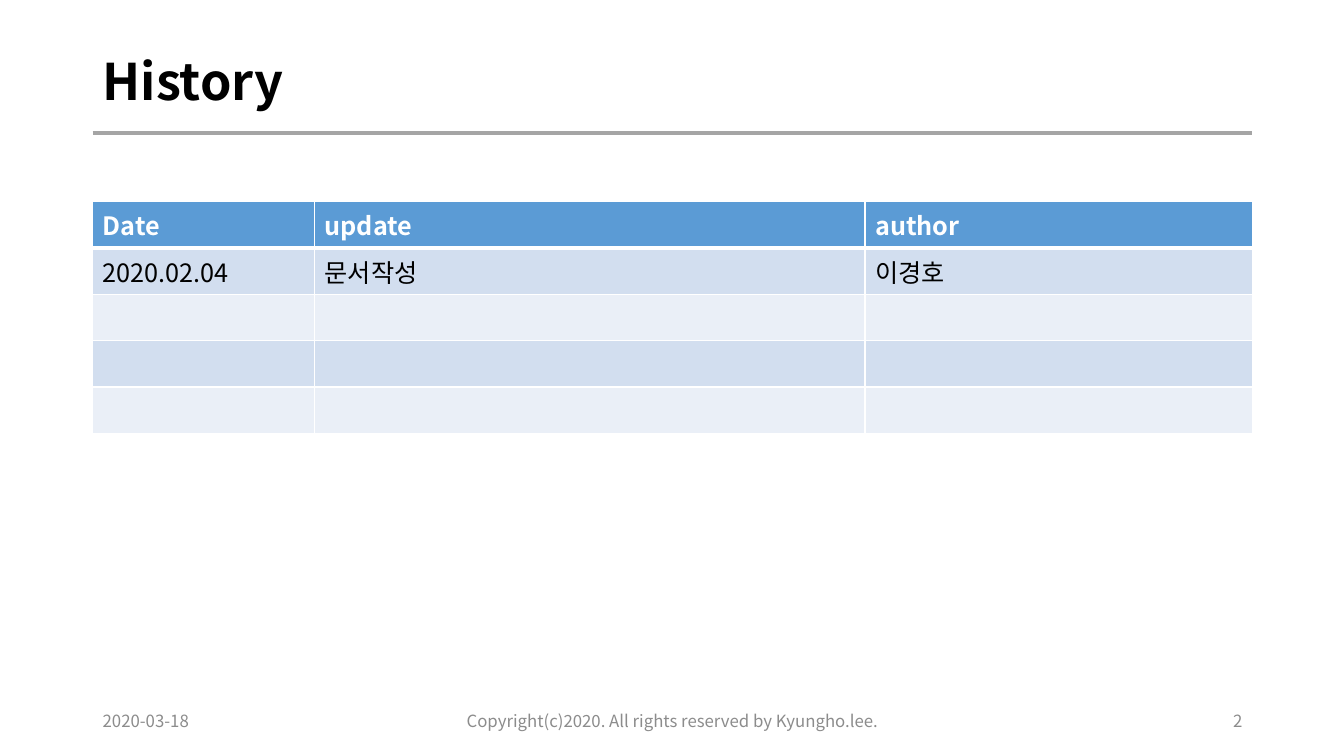
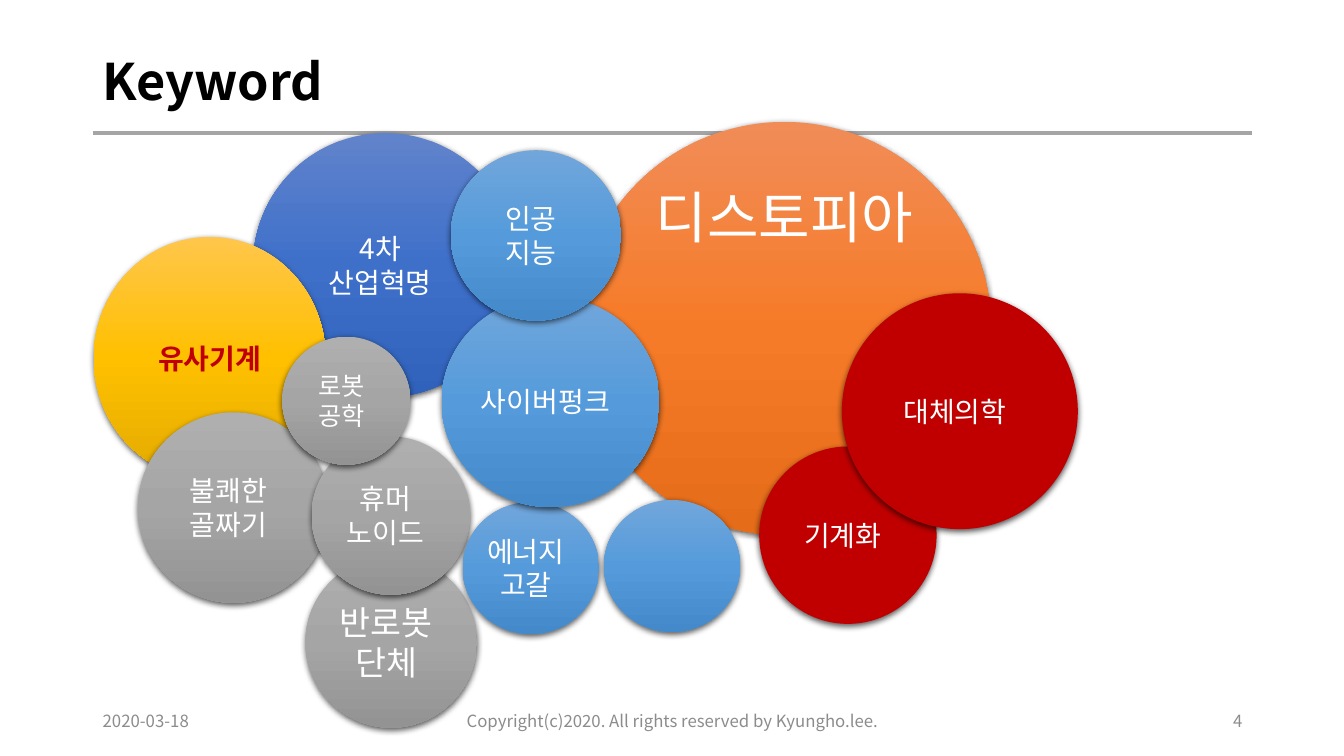
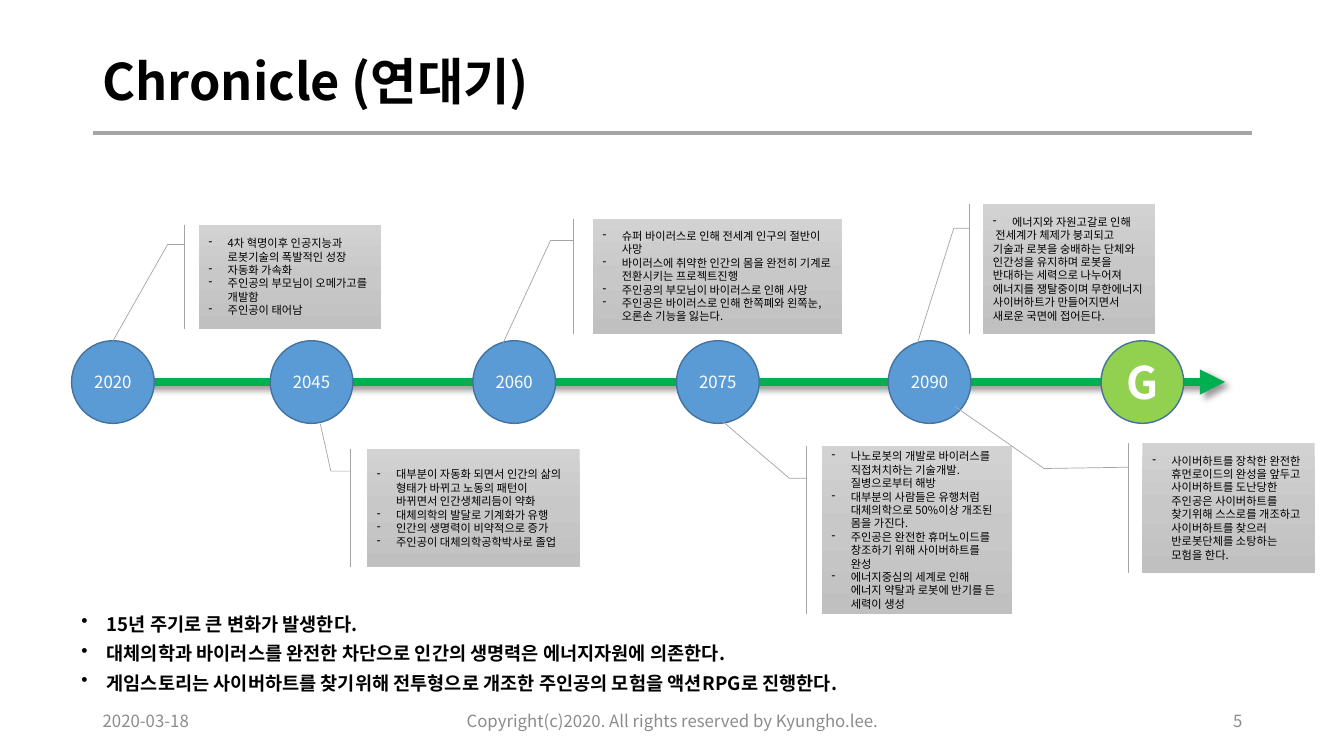
from dataclasses import dataclass
from lxml.etree import SubElement
from pptx import Presentation
from pptx.dml.color import RGBColor
from pptx.enum.shapes import MSO_CONNECTOR, MSO_SHAPE
from pptx.enum.text import MSO_ANCHOR, PP_ALIGN
from pptx.oxml.ns import qn
from pptx.util import Inches, Pt


@dataclass(frozen=True)
class Theme:
    font: str = "Noto Sans CJK KR"
    black: str = "000000"
    white: str = "FFFFFF"
    rule: str = "A5A5A5"
    footer: str = "8C8C8C"
    accent: str = "5B9BD5"
    outline: str = "43739E"
    green: str = "00B050"
    lime: str = "92D050"
    red: str = "C00000"
    bands: tuple = ("D2DEEF", "EAEFF7")
    orange: tuple = ("F18C57", "F67B28", "E56C19")
    blue: tuple = ("6183CB", "3E70CA", "3062BB")
    gold: tuple = ("FFC64B", "FFC000", "E3AB00")
    gray: tuple = ("AFAFAF", "A5A5A5", "939393")
    sky: tuple = ("71A6DB", "559BDB", "448ACA")
    silver: tuple = ("D2D2D2", "C8C8C8", "C0C0C0")
    title: float = 36
    table: float = 18
    keyword: float = 20
    summary: float = 13.3
    small: float = 12
    note: float = 8


T = Theme()
LEFT, WIDTH = 0.92, 11.5
COPYRIGHT = "Copyright(c)2020. All rights reserved by Kyungho.lee."


def rgb(value):
    return RGBColor.from_string(value)


def box(*lengths):
    return [Inches(n) for n in lengths]


def write(tf, lines, size=T.small, color=T.black, bold=False, align=PP_ALIGN.LEFT,
          anchor=MSO_ANCHOR.MIDDLE, margins=(0.1, 0.05, 0.1, 0.05), bullet=None,
          indent=0, spacing=None, before=None):
    tf.word_wrap = True
    tf.vertical_anchor = anchor
    tf.margin_left, tf.margin_top, tf.margin_right, tf.margin_bottom = box(*margins)
    for i, line in enumerate(lines):
        p = tf.add_paragraph() if i else tf.paragraphs[0]
        p.alignment = align
        if spacing:
            p.line_spacing = spacing
        if before:
            p.space_before = Pt(before)
        if bullet and not line.startswith(" "):
            pPr = p._p.get_or_add_pPr()
            pPr.set("marL", str(Inches(indent)))
            pPr.set("indent", str(-Inches(indent)))
            SubElement(pPr, qn("a:buChar"), char=bullet)
        r = p.add_run()
        r.text = line
        r.font.size, r.font.bold, r.font.name = Pt(size), bold, T.font
        r.font.color.rgb = rgb(color)
        SubElement(r._r.get_or_add_rPr(), qn("a:ea"), typeface=T.font)


def add_text(s, at, lines, **fmt):
    write(s.shapes.add_textbox(*box(*at)).text_frame, lines, **fmt)


def set_fill(fill, colors):
    if isinstance(colors, str):
        fill.solid()
        fill.fore_color.rgb = rgb(colors)
        return
    fill.gradient()
    fill.gradient_angle = 270
    stops = fill._xPr.find(qn("a:gradFill")).find(qn("a:gsLst"))
    for stop in list(stops):
        stops.remove(stop)
    for i, color in enumerate(colors):
        stop = SubElement(stops, qn("a:gs"), pos=str(i * 50000))
        SubElement(stop, qn("a:srgbClr"), val=color)


def add_shadow(effects, alpha, blur, dist, angle):
    shadow = SubElement(effects, qn("a:outerShdw"), blurRad=str(Pt(blur)), dist=str(Pt(dist)),
                        dir=str(angle * 60000), algn="ctr", rotWithShape="0")
    color = SubElement(shadow, qn("a:srgbClr"), val=T.black)
    SubElement(color, qn("a:alpha"), val=str(alpha * 1000))


def add_shape(s, kind, at, fill, line=None, width=1):
    sp = s.shapes.add_shape(kind, *box(*at))
    sp.shadow.inherit = False
    set_fill(sp.fill, fill)
    if line:
        sp.line.color.rgb, sp.line.width = rgb(line), Pt(width)
    else:
        sp.line.fill.background()
    return sp


def add_line(s, x1, x2, y, color, width):
    line = s.shapes.add_connector(MSO_CONNECTOR.STRAIGHT, *box(x1, y, x2, y))
    line.line.color.rgb, line.line.width = rgb(color), Pt(width)
    return line, SubElement(line._element.spPr, qn("a:effectLst"))


def add_bubble(s, at, fill, lines=(), size=T.keyword, color=T.white, bold=False,
               anchor=MSO_ANCHOR.MIDDLE, margins=(0, 0, 0.1, 0)):
    sp = add_shape(s, MSO_SHAPE.OVAL, at, fill)
    add_shadow(sp._element.spPr.find(qn("a:effectLst")), 63, 4.5, 1.5, 90)
    write(sp.text_frame, lines, size=size, color=color, bold=bold,
          align=PP_ALIGN.CENTER, anchor=anchor, margins=margins)


def add_milestone(s, x, label, fill=T.accent, size=T.small, bold=False):
    sp = add_shape(s, MSO_SHAPE.OVAL, (x, 3.38, 0.82, 0.82), fill, T.outline)
    write(sp.text_frame, [label], size=size, color=T.white, bold=bold,
          align=PP_ALIGN.CENTER, margins=(0, 0, 0, 0))


def add_callout(s, at, tip, lines, elbow=(0.19, -0.17)):
    sp = add_shape(s, MSO_SHAPE.LINE_CALLOUT_2_ACCENT_BAR, at, T.silver, T.rule, 0.5)
    for i, value in enumerate((0.19, -0.08, *elbow, *tip)):
        sp.adjustments[i] = value
    write(sp.text_frame, lines, size=T.note, bullet="-", indent=0.19)


def add_table(s, at, widths, rows):
    table = s.shapes.add_table(len(rows), len(widths), *box(*at)).table
    for column, width in zip(table.columns, widths):
        column.width = Inches(width)
    for i, row in enumerate(rows):
        for j, value in enumerate(row):
            cell = table.cell(i, j)
            tcPr = cell._tc.get_or_add_tcPr()
            for side in "LRTB":
                heavy = (i, side) in ((0, "B"), (1, "T"))
                ln = SubElement(tcPr, qn(f"a:ln{side}"), w=str(Pt(3 if heavy else 1)))
                SubElement(SubElement(ln, qn("a:solidFill")), qn("a:srgbClr"), val=T.white)
            set_fill(cell.fill, T.bands[(i + 1) % 2] if i else T.accent)
            if value:
                write(cell.text_frame, [value], size=T.table, bold=i == 0,
                      color=T.black if i else T.white, anchor=MSO_ANCHOR.TOP)


def add_slide(prs, title, number):
    s = prs.slides.add_slide(prs.slide_layouts[6])
    add_line(s, LEFT, LEFT + WIDTH, 1.32, T.rule, 2.25)
    add_text(s, (LEFT, 0.4, WIDTH, 0.87), [title], size=T.title, bold=True, spacing=0.9)
    for x, width, text, align in (
        (LEFT, 3, "2020-03-18", PP_ALIGN.LEFT),
        (4.42, 4.5, COPYRIGHT, PP_ALIGN.CENTER),
        (9.42, 3, str(number), PP_ALIGN.RIGHT),
    ):
        add_text(s, (x, 6.95, width, 0.4), [text], color=T.footer, align=align)
    return s


def build_history(prs):
    s = add_slide(prs, "History", 2)
    rows = [("Date", "update", "author"), ("2020.02.04", "문서작성", "이경호")]
    rows += [("", "", "")] * 3
    add_table(s, (LEFT, 2, WIDTH, 2.3), (2.2, 5.46, 3.84), rows)


def build_keyword(prs):
    s = add_slide(prs, "Keyword", 4)
    add_bubble(s, (5.73, 1.21, 4.1, 4.1), T.orange, ["디스토피아"], size=40,
               anchor=MSO_ANCHOR.TOP, margins=(0, 0, 0, 0))
    add_bubble(s, (2.51, 1.32, 2.62, 2.62), T.blue, ["4차", "산업혁명"])
    add_bubble(s, (0.93, 2.35, 2.3, 2.41), T.gold, ["유사기계"], color=T.red, bold=True,
               margins=(0.1, 0.05, 0.1, 0.05))
    add_bubble(s, (1.37, 4.09, 1.89, 1.89), T.gray, ["불쾌한", "골짜기"])
    add_bubble(s, (3.03, 5.52, 1.7, 1.7), T.gray, ["반로봇단체"], size=24)
    add_bubble(s, (3.09, 4.33, 1.57, 1.57), T.gray, ["휴머", "노이드"])
    add_bubble(s, (4.59, 4.98, 1.35, 1.31), T.sky, ["에너지", "고갈"])
    add_bubble(s, (7.53, 4.43, 1.76, 1.76), T.red, ["기계화"])
    add_bubble(s, (2.8, 3.34, 1.27, 1.27), T.gray, ["로봇", "공학"], size=18)
    add_bubble(s, (5.99, 4.96, 1.35, 1.31), T.sky)
    add_bubble(s, (8.35, 2.91, 2.34, 2.34), T.red, ["대체의학"])
    add_bubble(s, (4.38, 2.94, 2.16, 2.09), T.sky, ["사이버펑크"])
    add_bubble(s, (4.47, 1.49, 1.69, 1.69), T.sky, ["인공", "지능"])


def build_chronicle(prs):
    s = add_slide(prs, "Chronicle (연대기)", 5)
    add_text(s, (0.71, 6.09, 11.71, 0.87), [
        "15년 주기로 큰 변화가 발생한다.",
        "대체의학과 바이러스를 완전한 차단으로 인간의 생명력은 에너지자원에 의존한다.",
        "게임스토리는 사이버하트를 찾기위해 전투형으로 개조한 주인공의 모험을 액션RPG로 진행한다.",
    ], size=T.summary, bold=True, anchor=MSO_ANCHOR.TOP, bullet="•", indent=0.25,
        spacing=0.7, before=10)
    arrow, effects = add_line(s, LEFT, 12.15, 3.79, T.green, 6)
    SubElement(arrow.line._get_or_add_ln(), qn("a:tailEnd"), type="triangle")
    add_shadow(effects, 40, 4, 3, 45)
    for x, year in ((0.71, 2020), (2.68, 2045), (4.69, 2060), (6.71, 2075), (8.81, 2090)):
        add_milestone(s, x, str(year))
    add_milestone(s, 10.92, "G", T.lime, 32, True)
    add_callout(s, (1.97, 2.23, 1.81, 1.03), (1.12, -0.47), [
        "4차 혁명이후 인공지능과 로봇기술의 폭발적인 성장",
        "자동화 가속화",
        "주인공의 부모님이 오메가고를 개발함",
        "주인공이 태어남",
    ])
    add_callout(s, (3.64, 4.45, 2.11, 1.18), (-0.21, -0.22), [
        "대부분이 자동화 되면서 인간의 삶의 형태가 바뀌고 노동의 패턴이 바뀌면서 인간생체리듬이 약화",
        "대체의학의 발달로 기계화가 유행",
        "인간의 생명력이 비약적으로 증가",
        "주인공이 대체의학공학박사로 졸업",
    ])
    add_callout(s, (8.15, 4.43, 1.89, 1.66), (-0.15, -0.52), [
        "나노로봇의 개발로 바이러스를 직접처치하는 기술개발. 질병으로부터 해방",
        "대부분의 사람들은 유행처럼 대체의학으로 50%이상 개조된 몸을 가진다.",
        "주인공은 완전한 휴머노이드를 창조하기 위해 사이버하트를 완성",
        "에너지중심의 세계로 인해 에너지 약탈과 로봇에 반기를 든 세력이 생성",
    ])
    add_callout(s, (9.75, 2.02, 1.71, 1.29), (1.07, -0.38), [
        "에너지와 자원고갈로 인해",
        " 전세계가 체제가 붕괴되고 기술과 로봇을 숭배하는 단체와 인간성을 유지하며 로봇을 "
        "반대하는 세력으로 나누어져 에너지를 쟁탈중이며 무한에너지 사이버하트가 만들어지면서 "
        "새로운 국면에 접어든다.",
    ])
    add_callout(s, (5.88, 2.17, 2.47, 1.14), (1.08, -0.36), [
        "슈퍼 바이러스로 인해 전세계 인구의 절반이 사망",
        "바이러스에 취약한 인간의 몸을 완전히 기계로 전환시키는 프로젝트진행",
        "주인공의 부모님이 바이러스로 인해 사망",
        "주인공은 바이러스로 인해 한쪽폐와 왼쪽눈, 오론손 기능을 잃는다.",
    ])
    add_callout(s, (11.33, 4.39, 1.71, 1.29), (-0.28, -1.09), [
        "사이버하트를 장착한 완전한 휴먼로이드의 완성을 앞두고 사이버하트를 도난당한 주인공은 "
        "사이버하트를 찾기위해 스스로를 개조하고 사이버하트를 찾으러 반로봇단체를 소탕하는 "
        "모험을 한다.",
    ], elbow=(0.2, -0.57))


def main():
    prs = Presentation()
    prs.slide_width, prs.slide_height = box(13.33, 7.5)
    build_history(prs)
    build_keyword(prs)
    build_chronicle(prs)
    prs.save("out.pptx")


if __name__ == "__main__":
    main()
